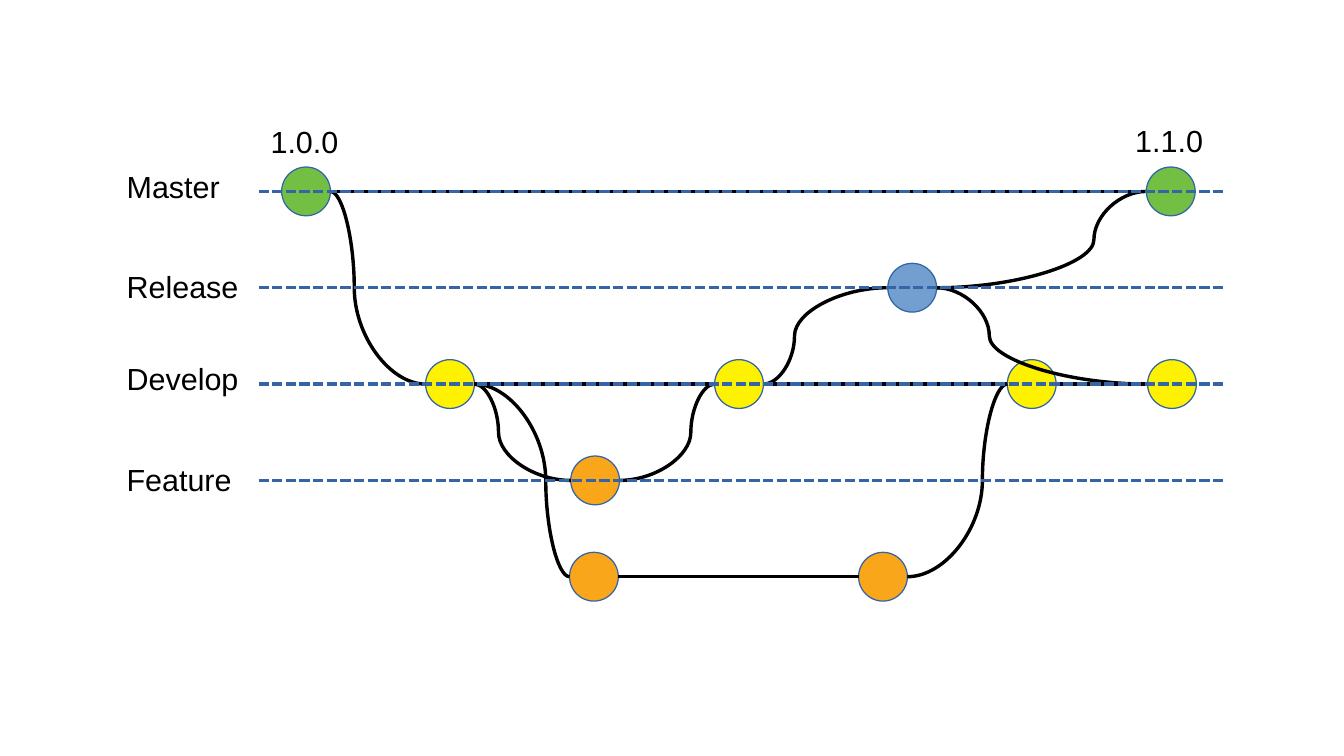
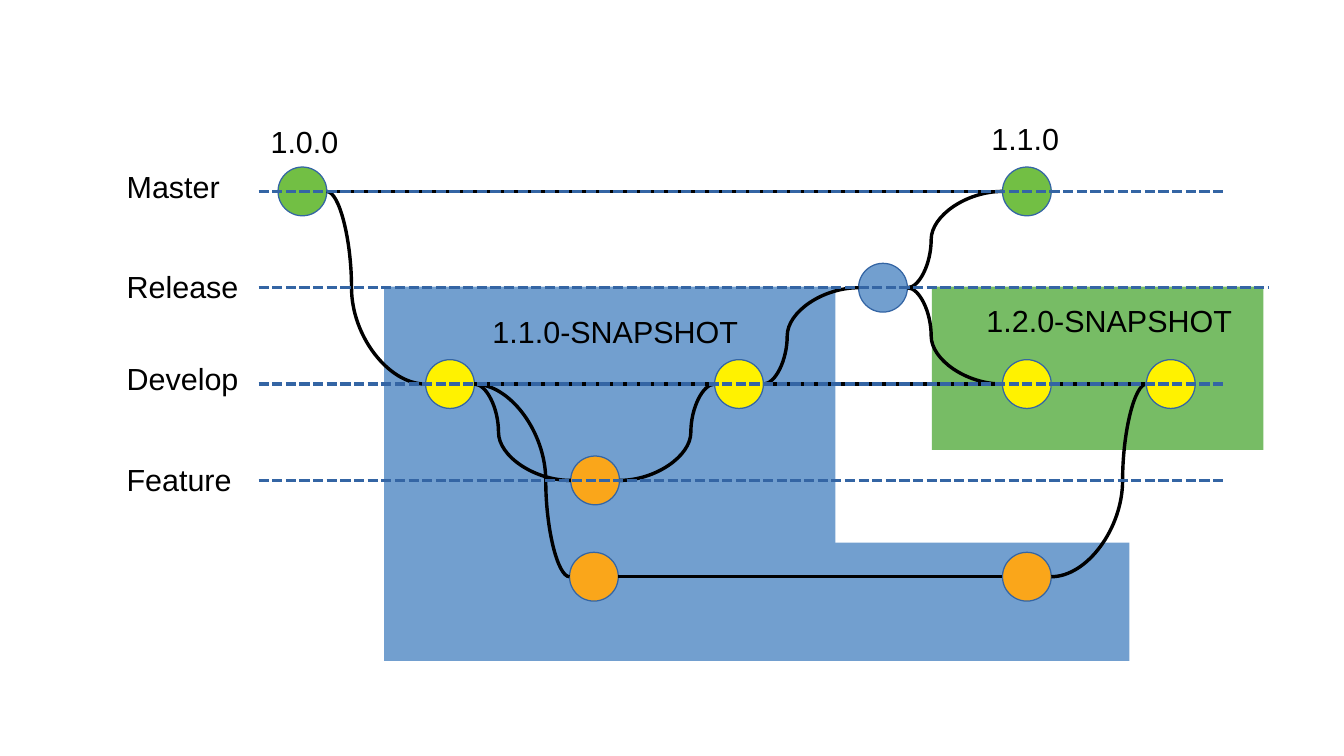
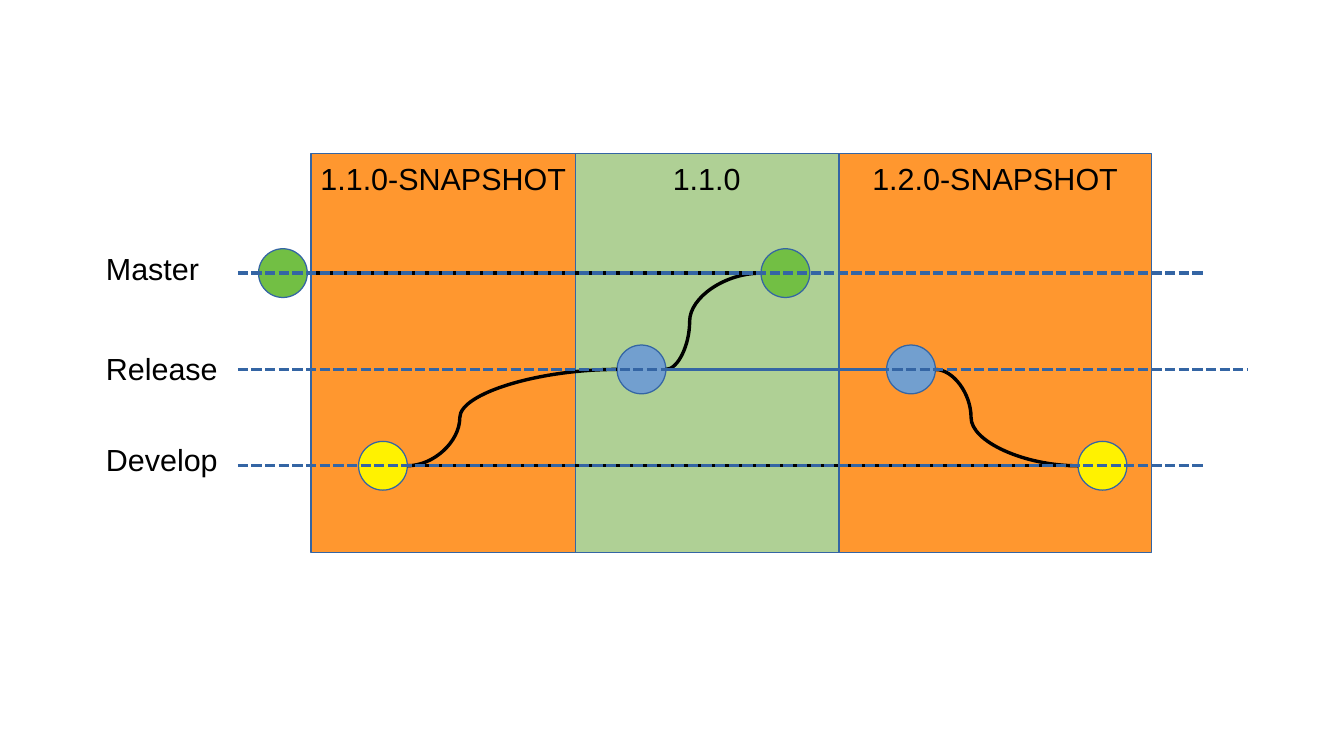
import pptx
import pptx.dml.color
import pptx.enum.dml
import pptx.enum.shapes
import pptx.enum.text
import pptx.oxml
import pptx.oxml.ns
import pptx.util
import lxml.etree

Inches = pptx.util.Inches
RGBColor = pptx.dml.color.RGBColor
SHAPES = pptx.enum.shapes.MSO_SHAPE
CONNECTORS = pptx.enum.shapes.MSO_CONNECTOR
qn = pptx.oxml.ns.qn

BLACK = RGBColor(0x00, 0x00, 0x00)
OUTLINE = RGBColor(0x34, 0x65, 0xA4)
GREEN = RGBColor(0x72, 0xBF, 0x44)
BLUE = RGBColor(0x72, 0x9F, 0xCF)
YELLOW = RGBColor(0xFF, 0xF2, 0x00)
AMBER = RGBColor(0xFA, 0xA6, 0x1A)
ORANGE = RGBColor(0xFF, 0x97, 0x2F)
MEADOW = RGBColor(0x77, 0xBC, 0x65)
PALE_GREEN = RGBColor(0xAF, 0xD0, 0x95)

MASTER, RELEASE, DEVELOP, FEATURE, SECOND_FEATURE = range(5)
LANE_COLORS = [GREEN, BLUE, YELLOW, AMBER, AMBER]
LANE_LABELS = [("Master", 0.98, 0.23), ("Release", 1.14, 0.2),
               ("Develop", 1.14, 0.24), ("Feature", 1.14, 0.2)]
LANE_GAP = 0.79
LANE_LENGTH = 7.92
COMMIT_SIZE = 0.4
SNAPSHOT_WIDTH = 2.44
VERSION_WIDTH = 0.79


class BranchDiagram:
    font_name = "Arial"
    font_size = pptx.util.Pt(18)
    hairline = pptx.util.Pt(0)

    def __init__(self):
        self.deck = pptx.Presentation()
        self.deck.slide_width = Inches(11.02)
        self.deck.slide_height = Inches(6.2)
        self.page = None
        self.first_lane = 0

    def new_page(self, first_lane):
        self.page = self.deck.slides.add_slide(self.deck.slide_layouts[6])
        self.first_lane = first_lane

    def lane_y(self, lane):
        return self.first_lane + lane * LANE_GAP

    def set_text(self, shape, text):
        shape.text_frame.text = text
        shape.text_frame.word_wrap = False
        para = shape.text_frame.paragraphs[0]
        para.font.name = self.font_name
        para.font.size = self.font_size
        para.font.color.rgb = BLACK
        return para

    def label(self, text, left, top, width):
        box = self.page.shapes.add_textbox(
            Inches(left), Inches(top), Inches(width), Inches(0.38))
        self.set_text(box, text)
        box.text_frame.vertical_anchor = pptx.enum.text.MSO_ANCHOR.MIDDLE
        box.text_frame.auto_size = pptx.enum.text.MSO_AUTO_SIZE.SHAPE_TO_FIT_TEXT

    def shape(self, kind, left, top, width, height, fill, outlined=True):
        shape = self.page.shapes.add_shape(
            kind, Inches(left), Inches(top), Inches(width), Inches(height))
        shape.shadow.inherit = False
        shape.fill.solid()
        shape.fill.fore_color.rgb = fill
        if outlined:
            shape.line.color.rgb = OUTLINE
            shape.line.width = self.hairline
        else:
            shape.line.fill.background()
        return shape

    def area(self, left, top, width, height, fill):
        self.shape(SHAPES.RECTANGLE, left, top, width, height, fill, False)

    def version_panel(self, text, left, width, fill):
        panel = self.shape(SHAPES.RECTANGLE, left, 1.26, width, 3.27, fill)
        para = self.set_text(panel, text)
        para.alignment = pptx.enum.text.PP_ALIGN.CENTER
        panel.text_frame.vertical_anchor = pptx.enum.text.MSO_ANCHOR.TOP

    def commit(self, lane, left):
        self.shape(SHAPES.OVAL, left, self.lane_y(lane) - COMMIT_SIZE / 2,
                   COMMIT_SIZE, COMMIT_SIZE, LANE_COLORS[lane])
        return left, self.lane_y(lane)

    def connector(self, kind, start, end, color):
        line = self.page.shapes.add_connector(
            kind, *[Inches(length) for length in (*start, *end)])
        line.line.color.rgb = color
        line.line.width = self.hairline
        lxml.etree.SubElement(line._element.spPr, qn("a:effectLst"))
        return line

    def link(self, source, target, bend=0.25, color=BLACK):
        start = (source[0] + COMMIT_SIZE, source[1])
        if source[1] == target[1]:
            self.connector(CONNECTORS.STRAIGHT, start, target, color)
            return
        curve = self.connector(CONNECTORS.CURVE, start, target, color)
        geometry = curve._element.spPr.find(qn("a:prstGeom"))
        adjustments = geometry.find(qn("a:avLst"))
        lxml.etree.SubElement(adjustments, qn("a:gd"), name="adj1",
                              fmla=f"val {round(bend * 100000)}")

    def lanes(self, count, label_left, release_length):
        left = label_left + 1.18
        for lane, (name, width, rise) in enumerate(LANE_LABELS[:count]):
            y = self.lane_y(lane)
            length = release_length if lane == RELEASE else LANE_LENGTH
            line = self.connector(CONNECTORS.STRAIGHT, (left, y),
                                  (left + length, y), OUTLINE)
            line.line.dash_style = pptx.enum.dml.MSO_LINE.SQUARE_DOT
            self.label(name, label_left, y - rise, width)

    def feature_flow(self, first_left, second_feature_left):
        first = self.commit(MASTER, first_left)
        started = self.commit(DEVELOP, 3.49)
        feature = self.commit(FEATURE, 4.68)
        second_start = self.commit(SECOND_FEATURE, 4.67)
        merged = self.commit(DEVELOP, 5.86)
        second_end = self.commit(SECOND_FEATURE, second_feature_left)
        self.link(first, started)
        self.link(started, feature)
        self.link(started, second_start, bend=0.75)
        self.link(feature, merged, bend=0.75)
        self.link(second_start, second_end)
        self.link(started, merged)
        return first, merged, second_end


def release_after_feature(diagram):
    diagram.new_page(1.57)
    first, merged, second_end = diagram.feature_flow(2.31, 7.04)
    second_merge = diagram.commit(DEVELOP, 8.26)
    release = diagram.commit(RELEASE, 7.28)
    released = diagram.commit(MASTER, 9.4)
    latest = diagram.commit(DEVELOP, 9.41)
    diagram.link(merged, second_merge)
    diagram.link(second_end, second_merge, bend=0.75)
    diagram.link(first, released)
    diagram.link(second_merge, latest)
    diagram.link(merged, release)
    diagram.link(release, released, bend=0.75)
    diagram.link(release, latest)
    diagram.lanes(4, 0.94, 7.93)
    diagram.label("1.0.0", 2.12, 0.97, VERSION_WIDTH)
    diagram.label("1.1.0", 9.21, 0.96, VERSION_WIDTH)


def snapshot_areas(diagram):
    diagram.new_page(1.57)
    diagram.area(7.64, 2.35, 2.72, 1.34, MEADOW)
    diagram.area(5.67, 4.45, 3.59, 0.97, BLUE)
    diagram.area(3.15, 2.35, 3.7, 3.07, BLUE)
    first, merged, second_end = diagram.feature_flow(2.28, 8.22)
    release = diagram.commit(RELEASE, 7.04)
    released = diagram.commit(MASTER, 8.22)
    next_start = diagram.commit(DEVELOP, 8.22)
    latest = diagram.commit(DEVELOP, 9.4)
    diagram.link(merged, next_start)
    diagram.link(second_end, latest, bend=0.75)
    diagram.link(merged, release)
    diagram.link(first, released)
    diagram.link(release, released)
    diagram.link(release, next_start)
    diagram.link(next_start, latest)
    diagram.lanes(4, 0.94, 8.28)
    diagram.label("1.0.0", 2.12, 0.97, VERSION_WIDTH)
    diagram.label("1.1.0", 8.03, 0.94, VERSION_WIDTH)
    diagram.label("1.1.0-SNAPSHOT", 3.94, 2.53, SNAPSHOT_WIDTH)
    diagram.label("1.2.0-SNAPSHOT", 7.99, 2.44, SNAPSHOT_WIDTH)


def version_panels(diagram):
    diagram.new_page(2.24)
    diagram.version_panel("1.2.0-SNAPSHOT", 6.88, 2.56, ORANGE)
    diagram.version_panel("1.1.0", 4.71, 2.17, PALE_GREEN)
    diagram.version_panel("1.1.0-SNAPSHOT", 2.55, 2.17, ORANGE)
    first = diagram.commit(MASTER, 2.12)
    started = diagram.commit(DEVELOP, 2.94)
    latest = diagram.commit(DEVELOP, 8.84)
    release = diagram.commit(RELEASE, 5.06)
    released = diagram.commit(MASTER, 6.24)
    next_version = diagram.commit(RELEASE, 7.27)
    diagram.link(started, latest)
    diagram.link(started, release)
    diagram.link(first, released)
    diagram.link(release, released)
    diagram.link(release, next_version, color=OUTLINE)
    diagram.link(next_version, latest)
    diagram.lanes(3, 0.77, 8.28)


def main():
    diagram = BranchDiagram()
    release_after_feature(diagram)
    snapshot_areas(diagram)
    version_panels(diagram)
    diagram.deck.save("out.pptx")


if __name__ == "__main__":
    main()
